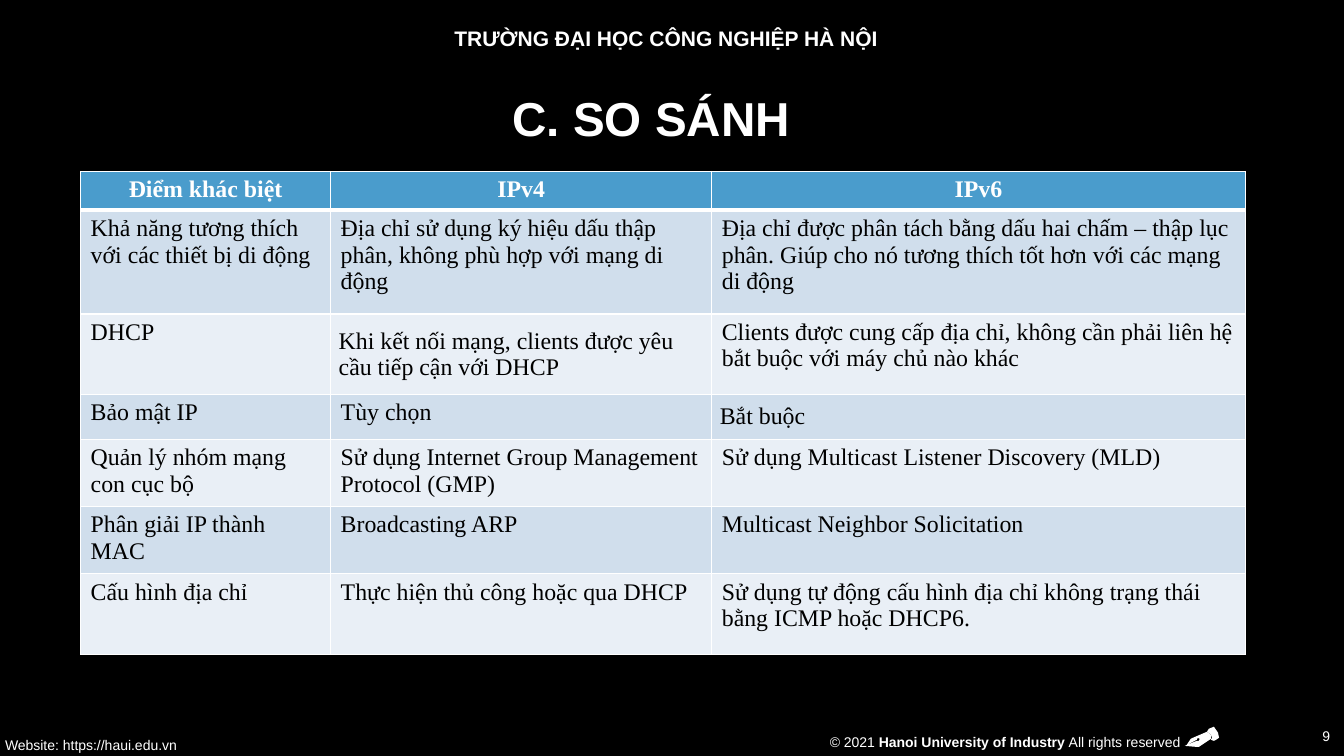
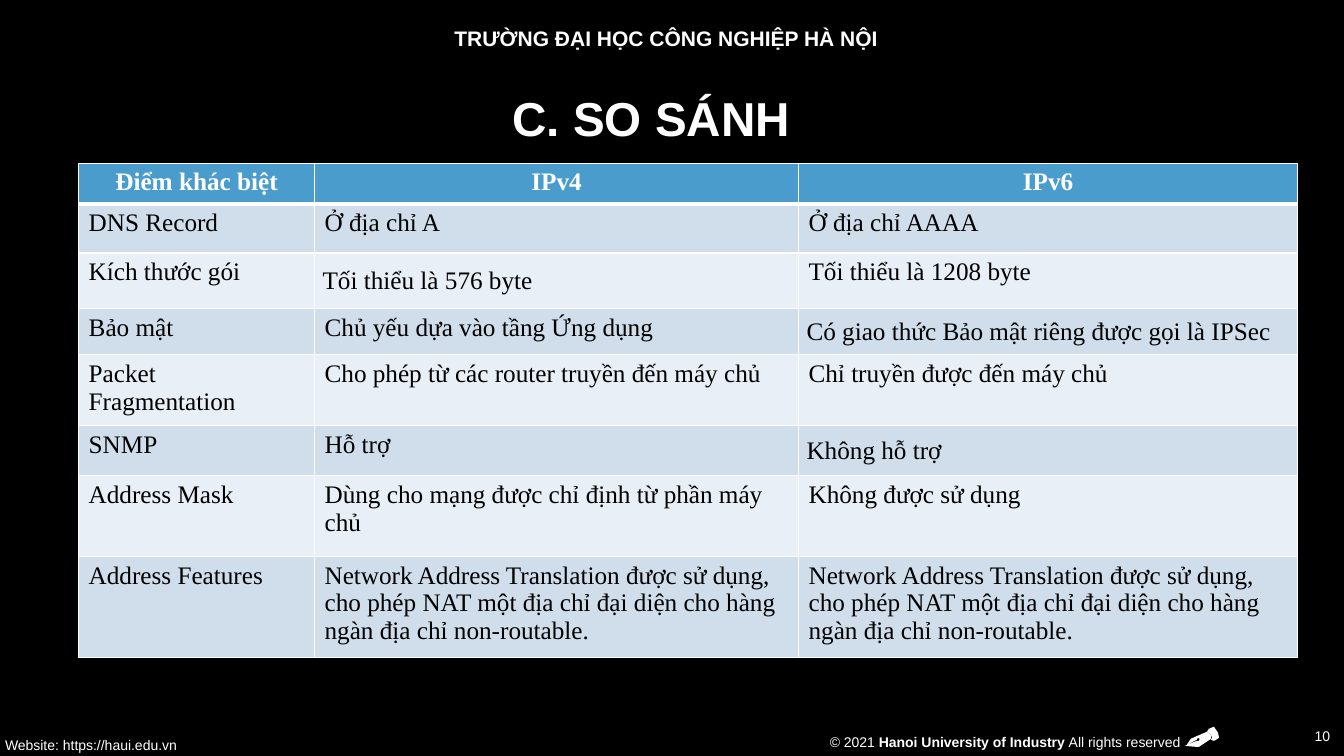
import dataclasses

import lxml.etree
import pptx
import pptx.dml.color
import pptx.enum.text
import pptx.oxml.ns
import pptx.util

ALIGN = pptx.enum.text.PP_ALIGN
ANCHOR = pptx.enum.text.MSO_ANCHOR


@dataclasses.dataclass(frozen=True)
class Theme:
    """Colours, fonts and type sizes shared by the slides."""

    background: str = "000000"
    light: str = "FFFFFF"
    dark: str = "000000"
    header_fill: str = "4A9CCC"
    bands: tuple = ("D0DEEC", "E9EFF6")
    sans: str = "Arial"
    serif: str = "Times New Roman"
    title_size: float = 34
    school_size: float = 15
    footer_size: float = 10
    thin_border: float = 1
    header_border: float = 3


THEME = Theme()
SLIDE_WIDTH = pptx.util.Inches(13.33)
SLIDE_HEIGHT = pptx.util.Inches(7.5)
CELL_INSET = pptx.util.Inches(0.08)

SCHOOL_BOX = (6.84, 2.67, 85.45, 5.33)
WEBSITE_BOX = (0, 96.8, 52.5, 3.2)
RIGHTS_BOX = (61, 96.4, 27.8, 3.6)
PEN_BOX = (88.15, 96.13, 2.55, 2.67)
NUMBER_BOX = (93.55, 94.67, 6.15, 5.33)
TITLE_BOX = (6, 4.8, 84.92, 22.53)

PEN_COLUMNS = 34
PEN_BODY = [(6, 12), (8, 11), (22, 5), (26, 8), (26, 12), (14, 20), (12, 20),
            (0, 19), (12, 14), (14, 14), (15, 12), (13, 11), (12, 13), (2, 18)]
PEN_CAP = [(26, 8), (22, 5), (24, 2), (29, 0), (33, 6), (34, 11), (31, 13),
           (29, 14), (26, 13), (27, 11)]

TITLE = "C. SO SÁNH"
HEADINGS = ("Điểm khác biệt", "IPv4", "IPv6")
NAT_TEXT = ("Network Address Translation được sử dụng, cho phép NAT một địa chỉ "
            "đại diện cho hàng ngàn địa chỉ non-routable.")

COMPARISONS = [
    {
        "number": 9,
        "box": (6, 22.67, 86.65, 60.13),
        "size": 17,
        "columns": (2.48, 3.78, 5.29),
        "rows": (0.38, 1.03, 0.8, 0.38, 0.56, 0.56, 0.8),
        "centred": {(2, 1), (3, 2)},
        "entries": [
            ("Khả năng tương thích với các thiết bị di động",
             "Địa chỉ sử dụng ký hiệu dấu thập phân, không phù hợp với mạng di động",
             "Địa chỉ được phân tách bằng dấu hai chấm – thập lục phân. "
             "Giúp cho nó tương thích tốt hơn với các mạng di động"),
            ("DHCP",
             "Khi kết nối mạng, clients được yêu cầu tiếp cận với DHCP",
             "Clients được cung cấp địa chỉ, không cần phải liên hệ "
             "bắt buộc với máy chủ nào khác"),
            ("Bảo mật IP", "Tùy chọn", "Bắt buộc"),
            ("Quản lý nhóm mạng con cục bộ",
             "Sử dụng Internet Group Management Protocol (GMP)",
             "Sử dụng Multicast Listener Discovery (MLD)"),
            ("Phân giải IP thành MAC", "Broadcasting ARP",
             "Multicast Neighbor Solicitation"),
            ("Cấu hình địa chỉ", "Thực hiện thủ công hoặc qua DHCP",
             "Sử dụng tự động cấu hình địa chỉ không trạng thái "
             "bằng ICMP hoặc DHCP6."),
        ],
    },
    {
        "number": 10,
        "box": (5.85, 21.6, 90.7, 61.87),
        "size": 18,
        "columns": (2.34, 4.8, 4.95),
        "rows": (0.38, 0.49, 0.55, 0.45, 0.67, 0.5, 0.8, 0.8),
        "centred": {(2, 1), (3, 2), (5, 2)},
        "entries": [
            ("DNS Record", "Ở địa chỉ A", "Ở địa chỉ AAAA"),
            ("Kích thước gói", "Tối thiểu là 576 byte", "Tối thiểu là 1208 byte"),
            ("Bảo mật", "Chủ yếu dựa vào tầng Ứng dụng",
             "Có giao thức Bảo mật riêng được gọi là IPSec"),
            ("Packet Fragmentation", "Cho phép từ các router truyền đến máy chủ",
             "Chỉ truyền được đến máy chủ"),
            ("SNMP", "Hỗ trợ", "Không hỗ trợ"),
            ("Address Mask", "Dùng cho mạng được chỉ định từ phần máy chủ",
             "Không được sử dụng"),
            ("Address Features", NAT_TEXT, NAT_TEXT),
        ],
    },
]


def place(box):
    """Turn percentages of the slide into left, top, width and height."""
    sides = (SLIDE_WIDTH, SLIDE_HEIGHT) * 2
    return [round(side * share / 100) for side, share in zip(sides, box)]


def rgb(colour):
    """Return the colour object for a hexadecimal string."""
    return pptx.dml.color.RGBColor.from_string(colour)


def set_font(font, name, size, colour, bold=False):
    """Apply name, size, colour and weight to a font."""
    font.name = name
    font.size = pptx.util.Pt(size)
    font.color.rgb = rgb(colour)
    font.bold = bold


def add_label(slide, box, runs, size, align=ALIGN.LEFT, bold=False,
              anchor=ANCHOR.TOP):
    """Add a line of text made of (text, bold) runs and return its frame."""
    frame = slide.shapes.add_textbox(*place(box)).text_frame
    frame.word_wrap = True
    frame.vertical_anchor = anchor
    paragraph = frame.paragraphs[0]
    paragraph.alignment = align
    set_font(paragraph.font, THEME.sans, size, THEME.light, bold)
    for text, strong in runs:
        run = paragraph.add_run()
        run.text = text
        if strong:
            run.font.bold = True
    return frame


def add_pen(slide, box):
    """Draw the pen ornament inside the box."""
    left, top, width, _ = place(box)
    for outline in (PEN_BODY, PEN_CAP):
        builder = slide.shapes.build_freeform(*outline[0], scale=width / PEN_COLUMNS)
        builder.add_line_segments(outline[1:], close=True)
        shape = builder.convert_to_shape(left, top)
        shape.shadow.inherit = False
        shape.fill.solid()
        shape.fill.fore_color.rgb = rgb(THEME.light)
        shape.line.fill.background()


def add_frame(slide, number):
    """Add the school name, the footer and the slide number."""
    add_label(slide, SCHOOL_BOX, [("TRƯỜNG ĐẠI HỌC CÔNG NGHIỆP HÀ NỘI", False)],
              THEME.school_size, ALIGN.CENTER, bold=True)
    website = add_label(slide, WEBSITE_BOX, [("Website: https://haui.edu.vn", False)],
                        THEME.footer_size)
    website.margin_left = pptx.util.Inches(0.05)
    rights = add_label(slide, RIGHTS_BOX,
                       [("© 2021 ", False), ("Hanoi University of Industry ", True),
                        ("All rights reserved", False)], THEME.footer_size)
    rights.margin_right = 0
    add_pen(slide, PEN_BOX)
    add_label(slide, NUMBER_BOX, [(str(number), False)], THEME.footer_size,
              ALIGN.RIGHT, anchor=ANCHOR.MIDDLE)


def set_title(slide, text):
    """Fill and format the title placeholder."""
    title = slide.shapes.title
    title.left, title.top, title.width, title.height = place(TITLE_BOX)
    frame = title.text_frame
    frame.text = text
    frame.vertical_anchor = ANCHOR.MIDDLE
    paragraph = frame.paragraphs[0]
    paragraph.alignment = ALIGN.CENTER
    paragraph.line_spacing = 0.9
    set_font(paragraph.font, THEME.sans, THEME.title_size, THEME.light, True)


def set_borders(cell, top, bottom):
    """Draw the four cell borders, with given top and bottom widths."""
    properties = cell._tc.get_or_add_tcPr()
    qualify = pptx.oxml.ns.qn
    widths = {"lnL": THEME.thin_border, "lnR": THEME.thin_border,
              "lnT": top, "lnB": bottom}
    for side, width in widths.items():
        line = lxml.etree.SubElement(properties, qualify("a:" + side),
                                     w=str(pptx.util.Pt(width)))
        fill = lxml.etree.SubElement(line, qualify("a:solidFill"))
        lxml.etree.SubElement(fill, qualify("a:srgbClr"), val=THEME.light)


def format_cell(cell, text, row, size, centred):
    """Write one table cell in the style of its row."""
    header = row == 0
    set_borders(cell,
                THEME.header_border if row == 1 else THEME.thin_border,
                THEME.header_border if header else THEME.thin_border)
    cell.fill.solid()
    cell.fill.fore_color.rgb = rgb(
        THEME.header_fill if header else THEME.bands[(row - 1) % 2])
    if centred:
        cell.vertical_anchor = ANCHOR.MIDDLE
        cell.margin_left = cell.margin_right = CELL_INSET
        cell.margin_top = cell.margin_bottom = CELL_INSET
    cell.text = text
    paragraph = cell.text_frame.paragraphs[0]
    paragraph.alignment = ALIGN.CENTER if header else ALIGN.LEFT
    set_font(paragraph.font, THEME.serif, size,
             THEME.light if header else THEME.dark, header)


def add_comparison_table(slide, comparison):
    """Add the table, sharing its box among columns and rows."""
    left, top, width, height = place(comparison["box"])
    columns, rows = comparison["columns"], comparison["rows"]
    table = slide.shapes.add_table(len(rows), len(columns),
                                   left, top, width, height).table
    for column, weight in zip(table.columns, columns):
        column.width = round(width * weight / sum(columns))
    for row, weight in zip(table.rows, rows):
        row.height = round(height * weight / sum(rows))
    for row, texts in enumerate([HEADINGS, *comparison["entries"]]):
        for column, text in enumerate(texts):
            format_cell(table.cell(row, column), text, row, comparison["size"],
                        (row, column) in comparison["centred"])


def add_comparison_slide(presentation, comparison):
    """Add one slide comparing IPv4 with IPv6."""
    slide = presentation.slides.add_slide(presentation.slide_layouts[5])
    add_frame(slide, comparison["number"])
    set_title(slide, TITLE)
    add_comparison_table(slide, comparison)


def main():
    """Build and save the presentation."""
    presentation = pptx.Presentation()
    presentation.slide_width = SLIDE_WIDTH
    presentation.slide_height = SLIDE_HEIGHT
    background = presentation.slide_master.background.fill
    background.solid()
    background.fore_color.rgb = rgb(THEME.background)
    for comparison in COMPARISONS:
        add_comparison_slide(presentation, comparison)
    presentation.save("out.pptx")


if __name__ == "__main__":
    main()
